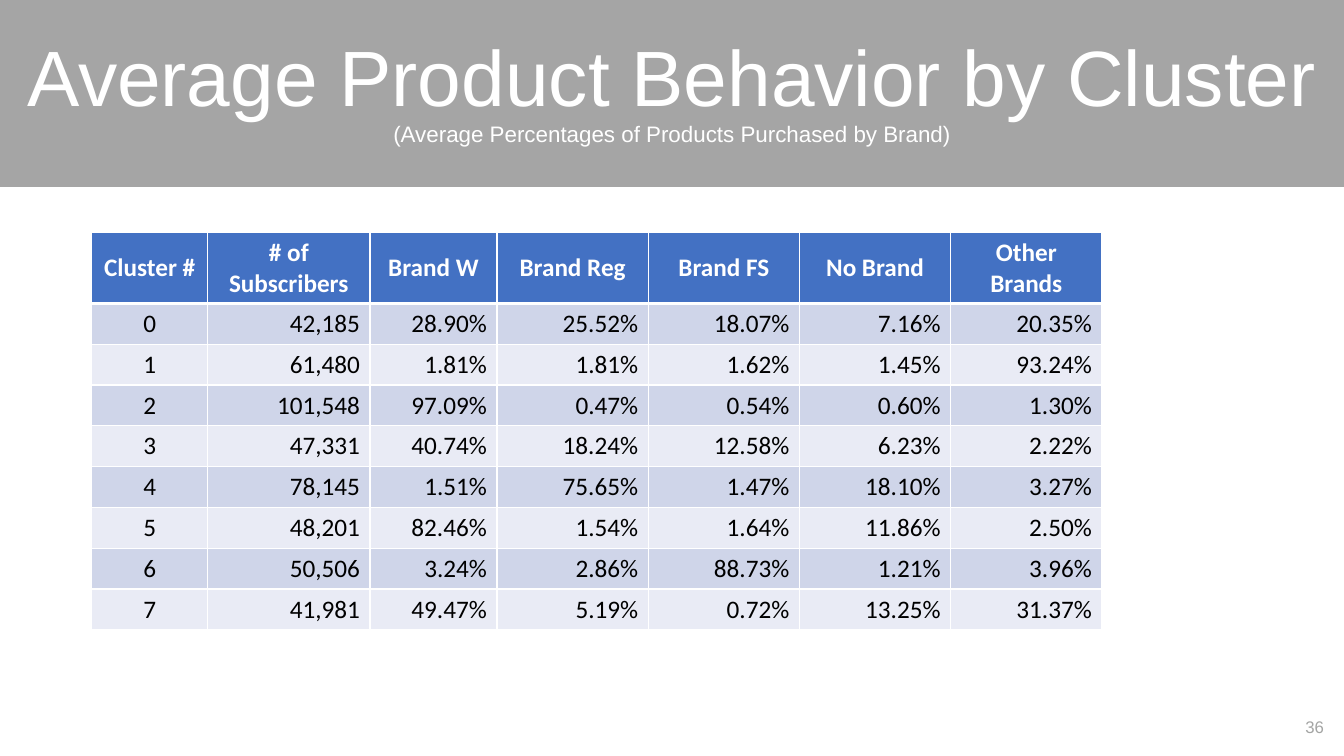
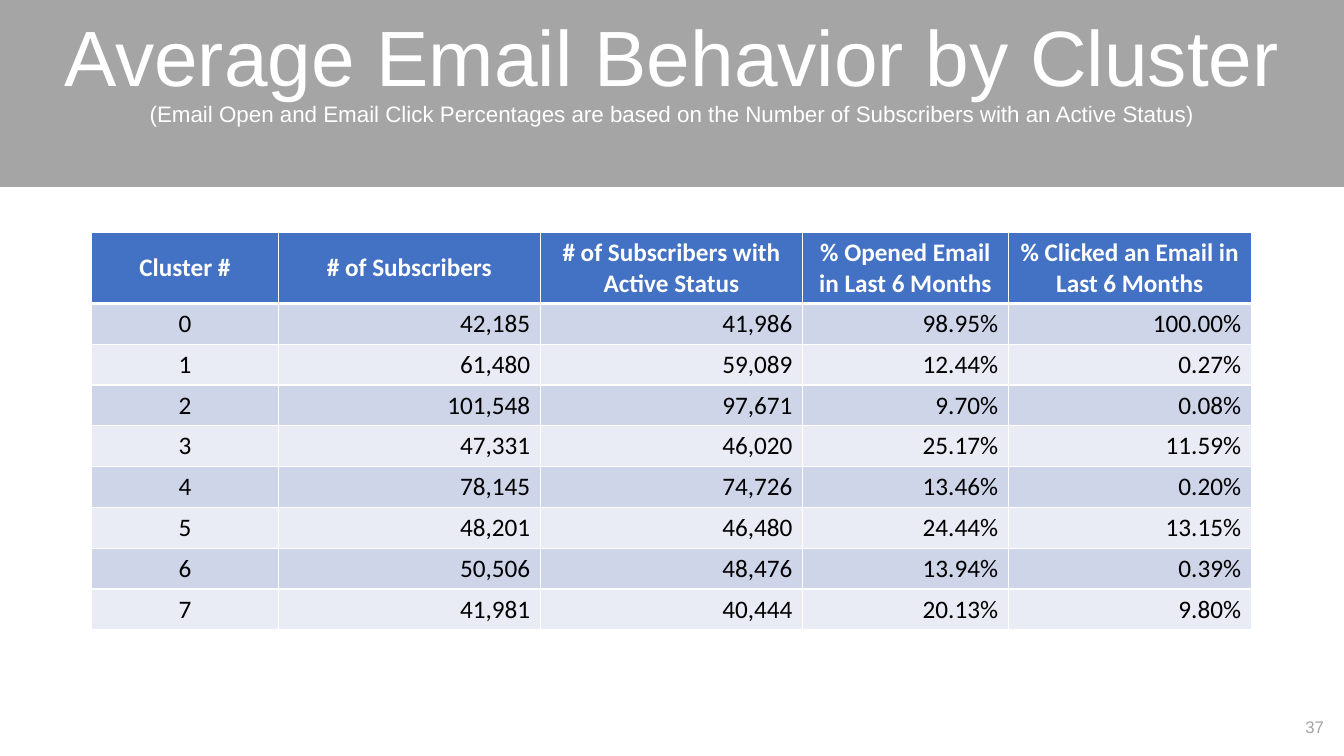
from dataclasses import dataclass

from lxml import etree
from pptx import Presentation
from pptx.dml.color import RGBColor
from pptx.enum.shapes import MSO_SHAPE
from pptx.enum.text import MSO_ANCHOR, MSO_AUTO_SIZE, PP_ALIGN
from pptx.oxml.ns import qn
from pptx.util import Inches, Pt

RECTANGLE = MSO_SHAPE.RECTANGLE
MIDDLE, TOP = MSO_ANCHOR.MIDDLE, MSO_ANCHOR.TOP
NO_AUTOFIT = MSO_AUTO_SIZE.NONE
CENTER, RIGHT = PP_ALIGN.CENTER, PP_ALIGN.RIGHT
TITLE_ONLY = 5


@dataclass(frozen=True)
class Theme:
    band: str = "A5A5A5"
    number: str = "A4A5A4"
    light: str = "FFFFFF"
    dark: str = "000000"
    header: str = "4371C3"
    stripes: tuple = ("CFD5E9", "E9EBF5")
    heading_font: str = "Arial"
    table_font: str = "Calibri"
    title_size: int = 56
    subtitle_size: int = 16
    table_size: int = 18
    number_size: int = 12


THEME = Theme()
SLIDE_WIDTH, SLIDE_HEIGHT = Inches(13.33), Inches(7.5)
BAND_TOP, BAND_BOTTOM = Inches(-0.05), Inches(1.85)
TABLE_LEFT, TABLE_TOP = Inches(0.91), Inches(2.31)
HEADER_HEIGHT, ROW_HEIGHT = Inches(0.7), Inches(0.405)
FIRST_NUMBER = 36

SUBSCRIBERS = "42,185 61,480 101,548 47,331 78,145 48,201 50,506 41,981".split()

SLIDES = [
    {
        "title": "Average Product Behavior by Cluster",
        "subtitle": "(Average Percentages of Products Purchased by Brand)",
        "title_height": 1.85,
        "columns": {
            "Cluster #": 1.15, "# of Subscribers": 1.61, "Brand W": 1.26,
            "Brand Reg": 1.5, "Brand FS": 1.5, "No Brand": 1.5, "Other Brands": 1.5,
        },
        "measures": [
            "28.90% 25.52% 18.07% 7.16% 20.35%",
            "1.81% 1.81% 1.62% 1.45% 93.24%",
            "97.09% 0.47% 0.54% 0.60% 1.30%",
            "40.74% 18.24% 12.58% 6.23% 2.22%",
            "1.51% 75.65% 1.47% 18.10% 3.27%",
            "82.46% 1.54% 1.64% 11.86% 2.50%",
            "3.24% 2.86% 88.73% 1.21% 3.96%",
            "49.47% 5.19% 0.72% 13.25% 31.37%",
        ],
    },
    {
        "title": "Average Email Behavior by Cluster",
        "subtitle": "(Email Open and Email Click Percentages are based on "
                    "the Number of Subscribers with an Active Status)",
        "title_height": 1.45,
        "columns": {
            "Cluster #": 1.85, "# of Subscribers": 2.6,
            "# of Subscribers with Active Status": 2.6,
            "% Opened Email in Last 6 Months": 2.04,
            "% Clicked an Email in Last 6 Months": 2.41,
        },
        "measures": [
            "41,986 98.95% 100.00%",
            "59,089 12.44% 0.27%",
            "97,671 9.70% 0.08%",
            "46,020 25.17% 11.59%",
            "74,726 13.46% 0.20%",
            "46,480 24.44% 13.15%",
            "48,476 13.94% 0.39%",
            "40,444 20.13% 9.80%",
        ],
    },
]


def rgb(color):
    return RGBColor.from_string(color)


def format_paragraph(paragraph, font_name, size, color, alignment, bold=False):
    paragraph.alignment = alignment
    for run in paragraph.runs:
        run.font.name = font_name
        run.font.size = Pt(size)
        run.font.bold = bold
        run.font.color.rgb = rgb(color)


def add_heading(slide, title, subtitle, height):
    heading = slide.shapes.title
    heading.left, heading.top = 0, 0
    heading.width, heading.height = SLIDE_WIDTH, Inches(height)

    band = slide.shapes.add_shape(
        RECTANGLE, 0, BAND_TOP, SLIDE_WIDTH, BAND_BOTTOM - BAND_TOP)
    band.shadow.inherit = False
    band.fill.solid()
    band.fill.fore_color.rgb = rgb(THEME.band)
    band.line.color.rgb = rgb(THEME.band)
    band.line.width = Pt(1)
    heading.element.addprevious(band.element)

    frame = heading.text_frame
    frame.text = f"{title}\n{subtitle}"
    frame.word_wrap = True
    frame.auto_size = NO_AUTOFIT
    frame.vertical_anchor = MIDDLE
    for paragraph, size in zip(frame.paragraphs, (THEME.title_size, THEME.subtitle_size)):
        paragraph.line_spacing = 0.9
        format_paragraph(paragraph, THEME.heading_font, size, THEME.light, CENTER)


def add_slide_number(slide, number):
    frame = slide.shapes.add_textbox(
        Inches(12.53), Inches(7.01), Inches(0.7), Inches(0.4)).text_frame
    frame.word_wrap = True
    frame.vertical_anchor = MIDDLE
    frame.text = str(number)
    format_paragraph(frame.paragraphs[0], THEME.heading_font, THEME.number_size,
                     THEME.number, RIGHT)


def set_borders(cell, bottom_width, top_width):
    properties = cell._tc.get_or_add_tcPr()
    widths = {"lnL": 1, "lnR": 1, "lnT": top_width, "lnB": bottom_width}
    for side, width in widths.items():
        border = etree.SubElement(properties, qn(f"a:{side}"), w=str(Pt(width)))
        fill = etree.SubElement(border, qn("a:solidFill"))
        etree.SubElement(fill, qn("a:srgbClr"), val=THEME.light)


def fill_cell(cell, text, row, column):
    is_header = row == 0
    set_borders(cell, 3 if is_header else 1, 3 if row == 1 else 1)
    cell.fill.solid()
    cell.fill.fore_color.rgb = rgb(
        THEME.header if is_header else THEME.stripes[(row - 1) % 2])
    cell.vertical_anchor = MIDDLE if is_header else TOP
    cell.text_frame.text = text
    format_paragraph(
        cell.text_frame.paragraphs[0], THEME.table_font, THEME.table_size,
        THEME.light if is_header else THEME.dark,
        CENTER if is_header or column == 0 else RIGHT, is_header)


def add_cluster_table(slide, columns, measures):
    rows = [list(columns)] + [
        [str(cluster), subscribers, *values.split()]
        for cluster, (subscribers, values) in enumerate(zip(SUBSCRIBERS, measures))]
    widths = [Inches(width) for width in columns.values()]
    table = slide.shapes.add_table(
        len(rows), len(widths), TABLE_LEFT, TABLE_TOP, sum(widths),
        HEADER_HEIGHT + ROW_HEIGHT * len(measures)).table
    for column, width in zip(table.columns, widths):
        column.width = width
    for row, texts in enumerate(rows):
        table.rows[row].height = ROW_HEIGHT if row else HEADER_HEIGHT
        for column, text in enumerate(texts):
            fill_cell(table.cell(row, column), text, row, column)


def main():
    presentation = Presentation()
    presentation.slide_width, presentation.slide_height = SLIDE_WIDTH, SLIDE_HEIGHT
    for number, content in enumerate(SLIDES, FIRST_NUMBER):
        slide = presentation.slides.add_slide(presentation.slide_layouts[TITLE_ONLY])
        add_heading(slide, content["title"], content["subtitle"], content["title_height"])
        add_slide_number(slide, number)
        add_cluster_table(slide, content["columns"], content["measures"])
    presentation.save("out.pptx")


if __name__ == "__main__":
    main()
